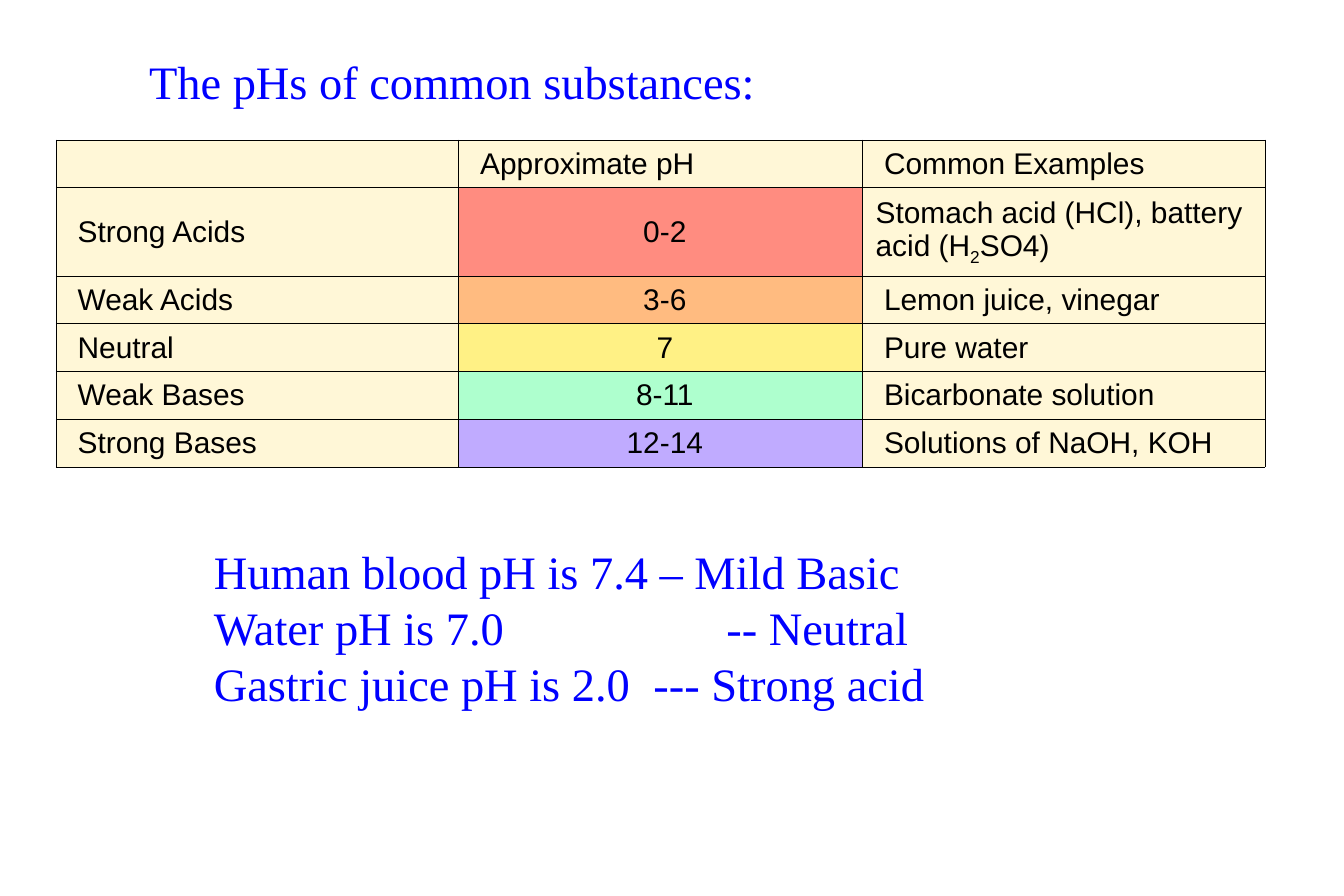
from lxml.etree import SubElement
from pptx import Presentation
from pptx.dml.color import RGBColor
from pptx.enum.text import MSO_ANCHOR as Anchor, PP_ALIGN as Align
from pptx.oxml.ns import qn
from pptx.util import Inches, Pt

BLUE = RGBColor(0x00, 0x00, 0xFF)
BLACK = RGBColor(0x00, 0x00, 0x00)
CREAM = RGBColor(0xFF, 0xF7, 0xD7)
RED = RGBColor(0xFF, 0x8C, 0x80)
ORANGE = RGBColor(0xFF, 0xBB, 0x80)
YELLOW = RGBColor(0xFF, 0xF1, 0x85)
GREEN = RGBColor(0xAE, 0xFF, 0xCE)
PURPLE = RGBColor(0xC0, 0xAB, 0xFF)

HEADING = {"name": "Times New Roman", "size": Pt(28)}
BODY = {"name": "Arial", "size": Pt(18)}
CELL = {
    "vertical_anchor": Anchor.MIDDLE,
    "margin_left": Inches(0.18),
    "margin_right": Inches(0.11),
    "margin_top": Inches(0.05),
    "margin_bottom": Inches(0.05),
}
BORDER_WIDTH = Pt(0.34)
COLUMN_WIDTHS = (3.37, 3.38, 3.37)
ROW_HEIGHTS = (0.4, 0.74, 0.4, 0.4, 0.4, 0.4)
ACIDS = (("Stomach acid (HCl), battery acid (H", False), ("2", True), ("SO4)", False))
ROWS = (
    ("", "Approximate pH", "Common Examples", CREAM),
    ("Strong Acids", "0-2", ACIDS, RED),
    ("Weak Acids", "3-6", "Lemon juice, vinegar", ORANGE),
    ("Neutral", "7", "Pure water", YELLOW),
    ("Weak Bases", "8-11", "Bicarbonate solution", GREEN),
    ("Strong Bases", "12-14", "Solutions of NaOH, KOH", PURPLE),
)
NOTES = (
    ("Human blood pH is 7.4 – Mild Basic", None),
    ("Water pH is 7.0\t-- Neutral", 4.29),
    ("Gastric juice pH is 2.0\t--- Strong acid", 3.68),
)


def apply_format(target, values):
    """Set every attribute named in the dict on the target."""
    for name, value in values.items():
        setattr(target, name, value)


def style_font(font, values, color):
    """Give a font its face, size and colour."""
    apply_format(font, values)
    font.color.rgb = color


def add_tab(para, inches):
    """Put one left tab stop in a paragraph."""
    tabs = SubElement(para._p.get_or_add_pPr(), qn("a:tabLst"))
    SubElement(tabs, qn("a:tab"), pos=str(Inches(inches)), algn="l")


def add_borders(cell):
    """Draw thin black lines on all four sides of a cell."""
    properties = cell._tc.get_or_add_tcPr()
    for side in ("lnL", "lnR", "lnT", "lnB"):
        line = SubElement(properties, qn(f"a:{side}"), w=str(BORDER_WIDTH))
        fill = SubElement(line, qn("a:solidFill"))
        SubElement(fill, qn("a:srgbClr"), val=str(BLACK))


def fill_cell(cell, content, color, align):
    """Write one cell from plain text or from (text, is subscript) pairs."""
    add_borders(cell)
    apply_format(cell, CELL)
    cell.fill.solid()
    cell.fill.fore_color.rgb = color
    para = cell.text_frame.paragraphs[0]
    para.alignment = align
    style_font(para.font, BODY, BLACK)
    if isinstance(content, tuple):
        cell.margin_left = Inches(0.11)
    else:
        content = ((content, False),) if content else ()
    for text, is_subscript in content:
        span = para.add_run()
        span.text = text
        style_font(span.font, BODY, BLACK)
        if is_subscript:
            span.font._element.set("baseline", "-25000")


def add_ph_table(page, left, top, width, height):
    """Add the table of pH ranges and examples."""
    frame = page.shapes.add_table(
        len(ROWS), len(COLUMN_WIDTHS), Inches(left), Inches(top), Inches(width), Inches(height)
    )
    table = frame.table
    apply_format(table, {"first_row": False, "horz_banding": False})
    for column, size in zip(table.columns, COLUMN_WIDTHS):
        column.width = Inches(size)
    for row, size in zip(table.rows, ROW_HEIGHTS):
        row.height = Inches(size)
    for index, (kind, value, examples, color) in enumerate(ROWS):
        align = Align.CENTER if index else Align.LEFT
        fill_cell(table.cell(index, 0), kind, CREAM, Align.LEFT)
        fill_cell(table.cell(index, 1), value, color, align)
        fill_cell(table.cell(index, 2), examples, CREAM, Align.LEFT)


def add_text(page, left, top, width, height, lines, frame_format):
    """Add blue heading text, one paragraph for each (text, tab) pair."""
    box = page.shapes.add_textbox(Inches(left), Inches(top), Inches(width), Inches(height))
    apply_format(box.text_frame, frame_format)
    for index, (text, tab) in enumerate(lines):
        para = box.text_frame.add_paragraph() if index else box.text_frame.paragraphs[0]
        if tab:
            add_tab(para, tab)
        span = para.add_run()
        span.text = text
        style_font(span.font, HEADING, BLUE)


def main():
    """Build the slide and save it."""
    deck = Presentation()
    apply_format(deck, {"slide_width": Inches(11.25), "slide_height": Inches(7.5)})
    page = deck.slides.add_slide(deck.slide_layouts[6])
    add_ph_table(page, 0.47, 1.17, sum(COLUMN_WIDTHS), sum(ROW_HEIGHTS))
    title = (("The pHs of common substances:", None),)
    add_text(page, 1.15, 0.39, 5.27, 0.57, title,
             {"word_wrap": False, "vertical_anchor": Anchor.MIDDLE})
    add_text(page, 1.5, 4.5, 9.09, 1.97, NOTES,
             {"word_wrap": True, "margin_left": Inches(0.29)})
    deck.save("out.pptx")


if __name__ == "__main__":
    main()
